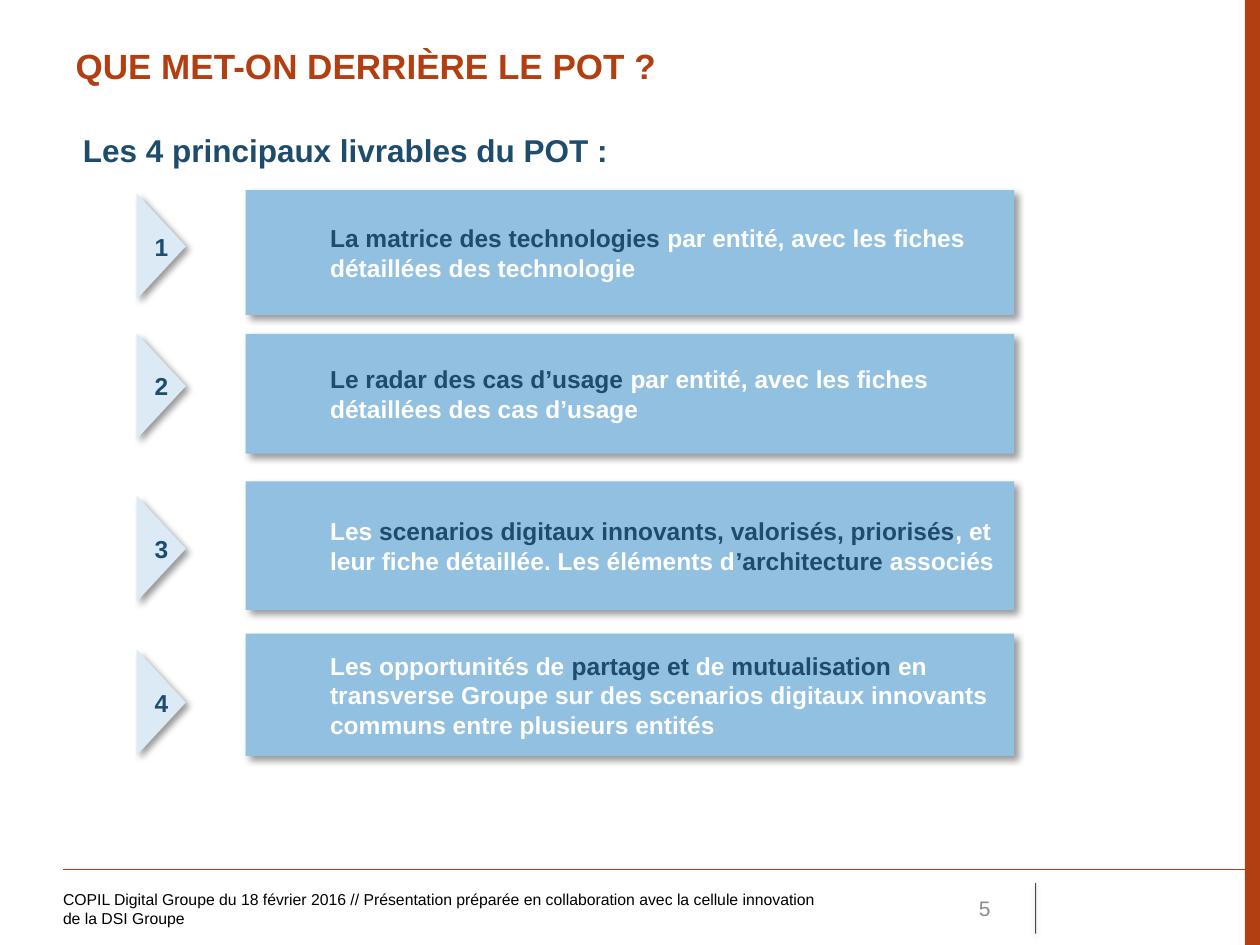
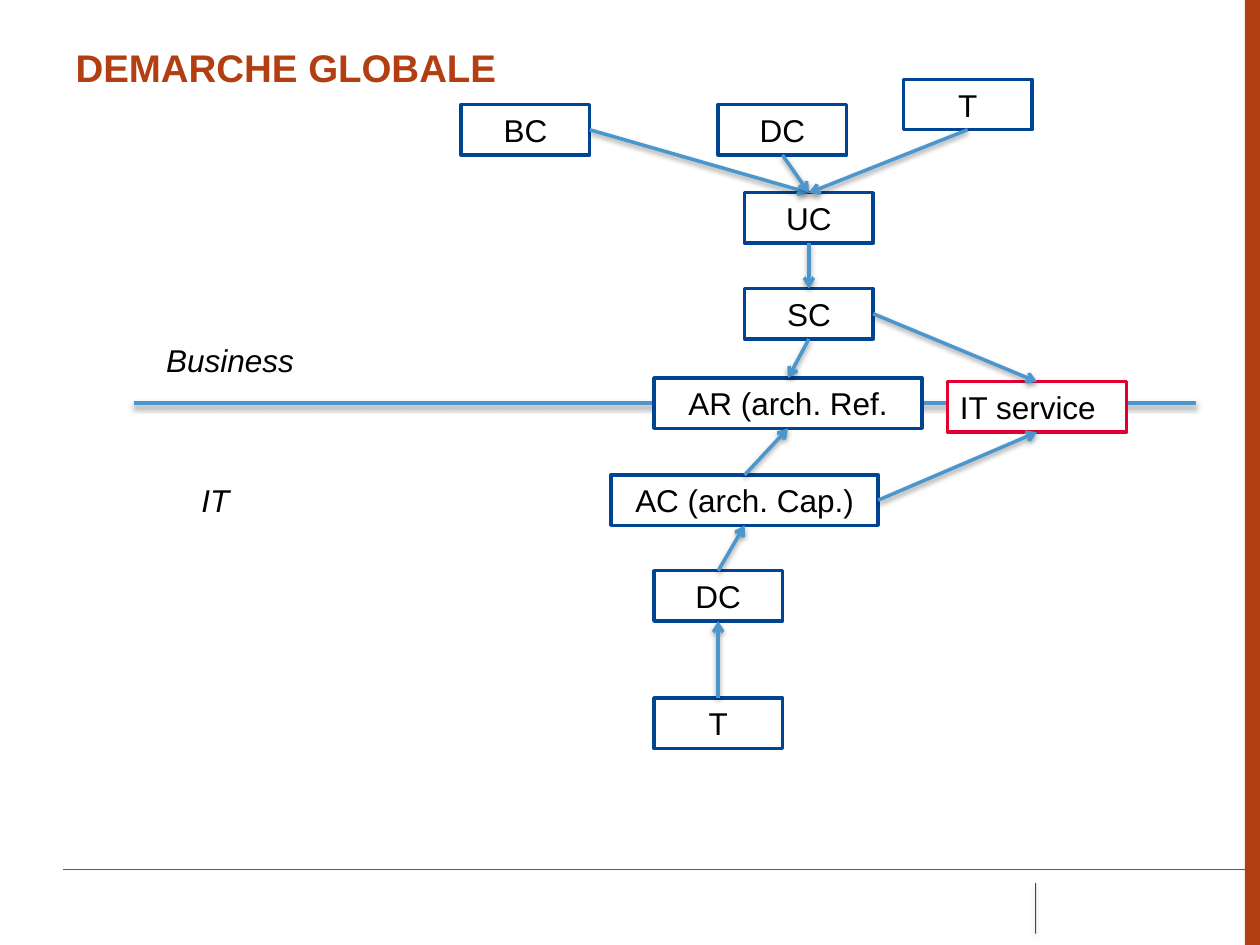
from lxml import etree
from pptx import Presentation
from pptx.dml.color import RGBColor
from pptx.enum.shapes import MSO_CONNECTOR, MSO_SHAPE
from pptx.enum.text import MSO_ANCHOR, PP_ALIGN
from pptx.oxml.ns import qn
from pptx.util import Inches, Pt

LINE = MSO_CONNECTOR.STRAIGHT
RECT, TRIANGLE = MSO_SHAPE.RECTANGLE, MSO_SHAPE.ISOSCELES_TRIANGLE
TOP, MIDDLE = MSO_ANCHOR.TOP, MSO_ANCHOR.MIDDLE
LEFT, CENTER, RIGHT = PP_ALIGN.LEFT, PP_ALIGN.CENTER, PP_ALIGN.RIGHT

# Shared style
FONT = "Arial"
RUST, NAVY, SKY, PALE = "B23F12", "1E4C6D", "92C0E1", "DBEAF5"
BLUE, ARROW, RED = "004494", "4A96CD", "E20031"
BLACK, WHITE, GREY = "000000", "FFFFFF", "8C8C8C"
PAD = (0.1, 0.05, 0.1, 0.05)
# Shadow: opacity %, blur pt, distance pt, angle
CARD_SHADE = (40, 4, 3, 45)
LINE_SHADE = (38, 3.1, 1.6, 90)

# Slide 1: text between bars is emphasised; then card top, card height, marker top
CARDS = [
    ("|La matrice des technologies |par entité, avec les fiches détaillées des technologie",
     1.51, 0.99, 1.76),
    ("|Le radar des cas d’usage |par entité, avec les fiches détaillées des cas d’usage",
     2.65, 0.95, 2.87),
    ("Les |scenarios digitaux innovants, valorisés, priorisés|, et leur fiche détaillée. "
     "Les éléments d|’architecture |associés", 3.82, 1.02, 4.16),
    ("Les opportunités de |partage et |de| mutualisation |en transverse Groupe sur des "
     "scenarios digitaux innovants communs entre plusieurs entités", 5.03, 0.97, 5.38),
]
FOOTER = ("COPIL Digital Groupe du 18 février 2016 // Présentation préparée en "
          "collaboration avec la cellule innovation de la DSI Groupe")

# Slide 2: key -> label, left, top, width
BOX_W, BOX_H = 1.02, 0.4
BOXES = {
    "bc": ("BC", 3.66, 0.83, BOX_W),
    "dc top": ("DC", 5.7, 0.83, BOX_W),
    "t top": ("T", 7.17, 0.63, BOX_W),
    "uc": ("UC", 5.91, 1.53, BOX_W),
    "sc": ("SC", 5.91, 2.29, BOX_W),
    "ar": ("AR (arch. Ref.", 5.19, 3, 2.13),
    "ac": ("AC (arch. Cap.)", 4.85, 3.77, 2.12),
    "dc": ("DC", 5.19, 4.53, BOX_W),
    "t": ("T", 5.19, 5.54, BOX_W),
    "it": ("IT service", 7.52, 3.03, 1.42),
}
# Connection sites of a rectangle
UP, DOWN, SIDE = 0, 2, 3
LINKS = [
    ("bc", SIDE, "uc", UP), ("dc top", DOWN, "uc", UP), ("t top", DOWN, "uc", UP),
    ("uc", DOWN, "sc", UP), ("sc", DOWN, "ar", UP), ("ac", UP, "ar", DOWN),
    ("dc", UP, "ac", DOWN), ("t", UP, "dc", DOWN),
    ("sc", SIDE, "it", UP), ("ac", SIDE, "it", DOWN),
]
ZONES = [("Business", 1.22, 2.66), ("IT", 1.5, 3.77)]


def paint(color, hue):
    color.rgb = RGBColor.from_string(hue)


def shade(shape, look=None):
    """Replace the theme shadow by the given one, or by none."""
    effects = etree.SubElement(shape._element.spPr, qn("a:effectLst"))
    if look:
        alpha, blur, dist, angle = look
        outer = etree.SubElement(
            effects, qn("a:outerShdw"), blurRad=str(Pt(blur)), dist=str(Pt(dist)),
            dir=str(angle * 60000), algn="tl", rotWithShape="0")
        tint = etree.SubElement(outer, qn("a:srgbClr"), val=BLACK)
        etree.SubElement(tint, qn("a:alpha"), val=str(alpha * 1000))


def write(shape, text, size=18, color=BLACK, accent=NAVY, bold=False, italic=False,
          align=LEFT, anchor=TOP, pad=PAD, wrap=True):
    """Fill a shape with text; parts between bars take the accent colour."""
    frame = shape.text_frame
    frame.word_wrap, frame.vertical_anchor = wrap, anchor
    (frame.margin_left, frame.margin_top,
     frame.margin_right, frame.margin_bottom) = map(Inches, pad)
    para = frame.paragraphs[0]
    para.alignment = align
    for i, part in enumerate(text.split("|")):
        if part:
            run = para.add_run()
            run.text = part
            font = run.font
            font.name, font.size, font.bold, font.italic = FONT, Pt(size), bold, italic
            paint(font.color, accent if i % 2 else color)


def block(slide, kind, spot, fill, edge=None, look=None):
    shape = slide.shapes.add_shape(kind, *map(Inches, spot))
    shape.fill.solid()
    paint(shape.fill.fore_color, fill)
    if edge:
        paint(shape.line.color, edge)
        shape.line.width = Pt(2)
    else:
        shape.line.fill.background()
    shade(shape, look)
    return shape


def label(slide, text, spot, **style):
    write(slide.shapes.add_textbox(*map(Inches, spot)), text, **style)


def rule(slide, ends, hue, width, look=None):
    line = slide.shapes.add_connector(LINE, *map(Inches, ends))
    paint(line.line.color, hue)
    line.line.width = Pt(width)
    shade(line, look)
    return line


def start(deck, title, size):
    """Add a slide with the title, side band and footer rules."""
    slide = deck.slides.add_slide(deck.slide_layouts[5])
    head = slide.shapes.title
    head.left, head.top, head.width, head.height = map(Inches, (0.5, 0.3, 8.99, 0.69))
    write(head, title, size=size, color=RUST, bold=True)
    block(slide, RECT, (9.88, 0, 0.12, 7.5), RUST)
    rule(slide, (0.5, 6.9, 10, 6.9), RUST, 0.75)
    tick = rule(slide, (8.22, 7.01, 8.22, 7.41), BLACK, 0.5, LINE_SHADE)
    tint = tick.line._ln.find(".//" + qn("a:srgbClr"))
    etree.SubElement(tint, qn("a:alpha"), val="70000")
    return slide


def list_slide(deck):
    slide = start(deck, "QUE MET-ON DERRIÈRE LE POT ?", 20)
    label(slide, "Les 4 principaux livrables du POT :", (0.56, 0.99, 4.41, 0.4),
          color=NAVY, bold=True, wrap=False)
    # Numbered markers and cards
    for num, (text, top, high, mark_top) in enumerate(CARDS, 1):
        mark = block(slide, TRIANGLE, (0.86, mark_top, 0.84, 0.39), PALE, look=CARD_SHADE)
        mark.rotation = 90
        write(mark, str(num), size=14, color=NAVY, bold=True, align=CENTER,
              anchor=MIDDLE, pad=(0, 0.05, 0, 0.05))
        mark.text_frame._txBody.bodyPr.set("vert", "vert270")
        mark.text_frame.paragraphs[0]._p.pPr.set("marL", str(Inches(0.1)))
        card = block(slide, RECT, (1.95, top, 6.1, high), SKY, look=CARD_SHADE)
        write(card, text, size=14, color=WHITE, bold=True, anchor=MIDDLE,
              pad=(0.67, 0.05, 0.08, 0.05))
    # Footer
    label(slide, FOOTER, (0.5, 7.01, 6.08, 0.4), size=9, anchor=MIDDLE,
          pad=(0, 0.05, 0.1, 0.05))
    label(slide, "5", (7.17, 7.01, 0.79, 0.4), size=12, color=GREY, align=RIGHT,
          anchor=MIDDLE)


def flow_slide(deck):
    slide = start(deck, "DEMARCHE GLOBALE", 22)
    # Border between business and IT
    rule(slide, (1.06, 3.2, 9.49, 3.2), ARROW, 2, LINE_SHADE)
    for text, left, top in ZONES:
        label(slide, text, (left, top, 1.34, BOX_H), italic=True)
    # Boxes
    nodes = {}
    for key, (text, left, top, wide) in BOXES.items():
        final = key == "it"
        nodes[key] = block(slide, RECT, (left, top, wide, BOX_H), WHITE,
                           RED if final else BLUE)
        write(nodes[key], text, align=LEFT if final else CENTER)
    # Arrows
    for source, out, target, into in LINKS:
        link = rule(slide, (0, 0, 0, 0), ARROW, 2, LINE_SHADE)
        link.begin_connect(nodes[source], out)
        link.end_connect(nodes[target], into)
        etree.SubElement(link.line._ln, qn("a:tailEnd"), type="arrow")


def main():
    deck = Presentation()
    deck.slide_width, deck.slide_height = Inches(10), Inches(7.5)
    list_slide(deck)
    flow_slide(deck)
    deck.save("out.pptx")


if __name__ == "__main__":
    main()
